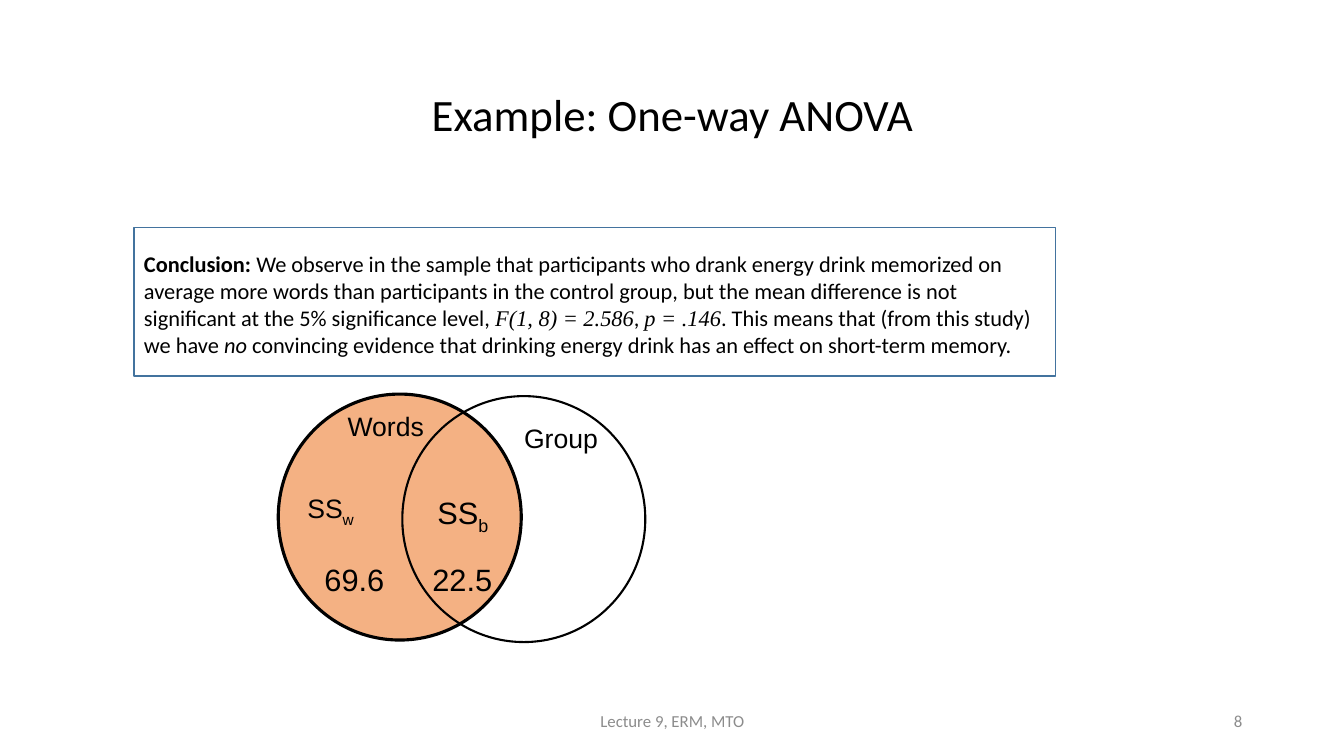
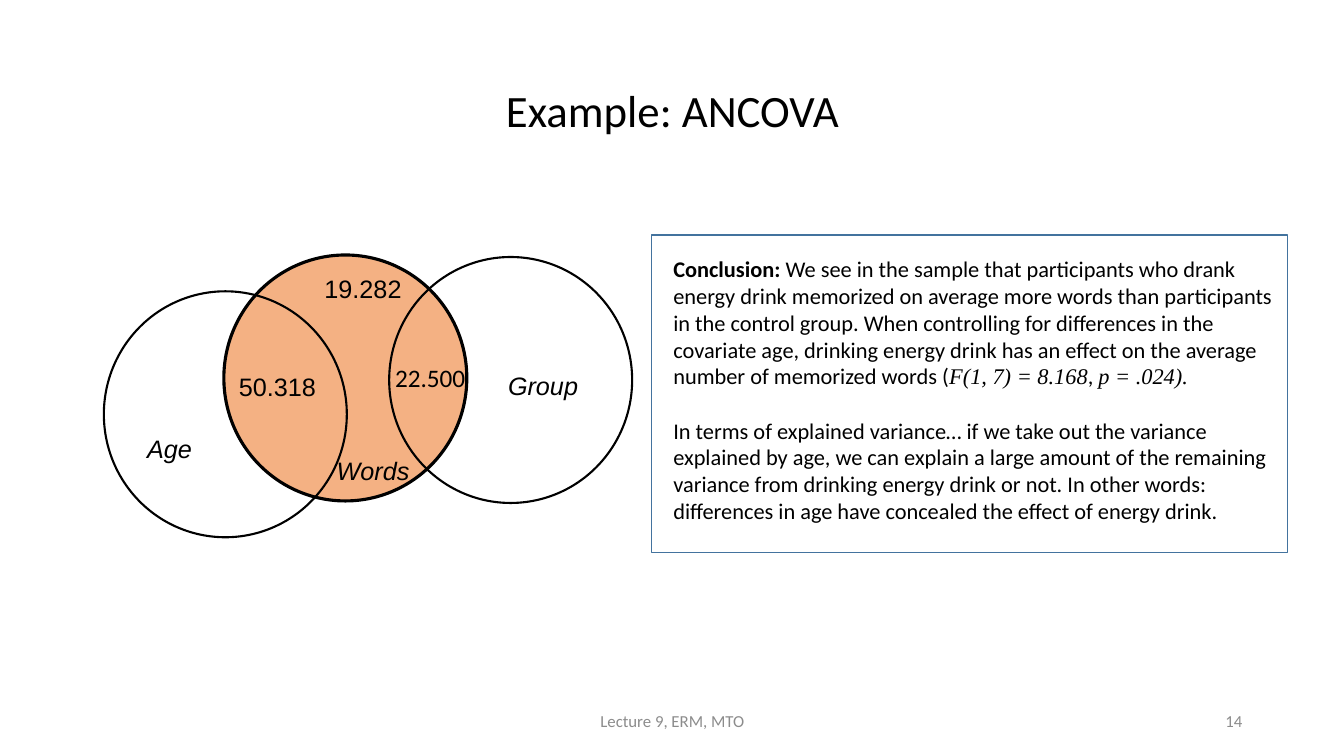
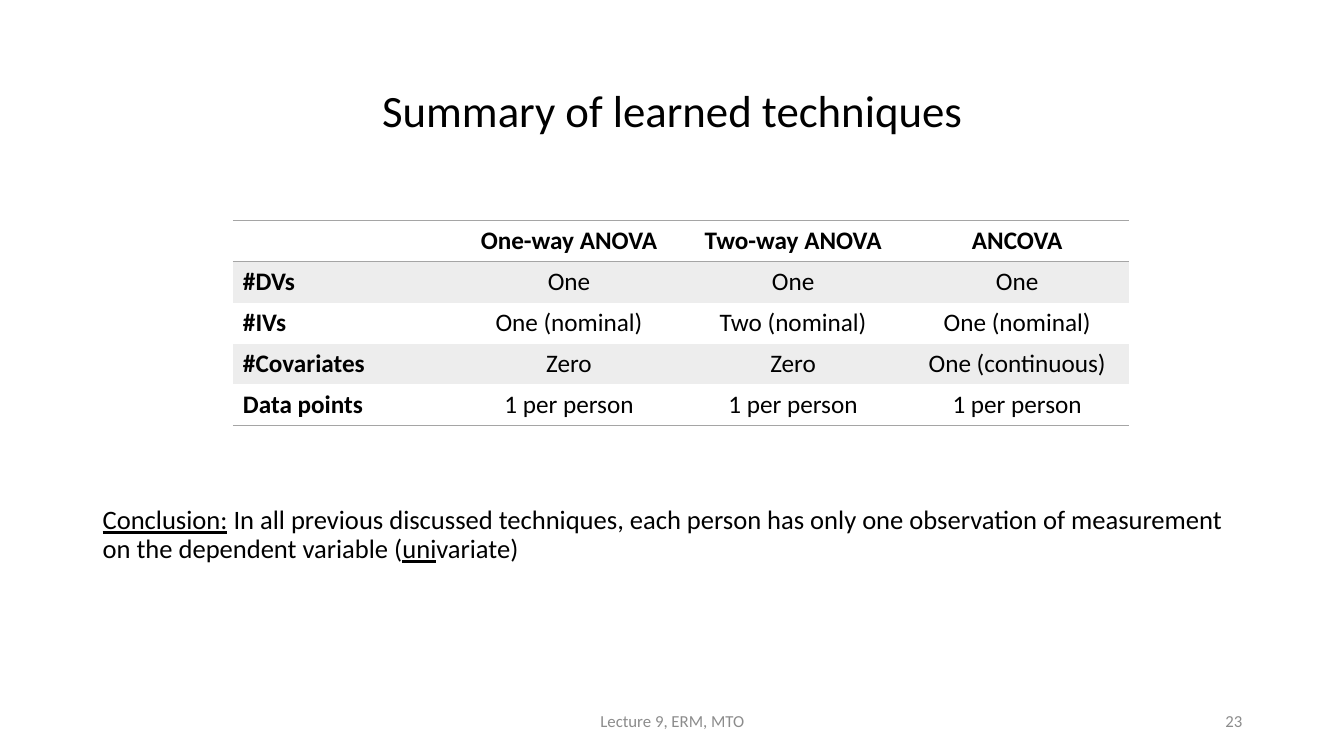
"""Build three lecture slides on ANOVA and ANCOVA."""
from lxml import etree
from pptx import Presentation
from pptx.dml.color import RGBColor
from pptx.enum.shapes import MSO_SHAPE
from pptx.enum.text import MSO_ANCHOR, PP_ALIGN
from pptx.oxml.ns import qn
from pptx.util import Inches, Pt

OVAL, RECT = MSO_SHAPE.OVAL, MSO_SHAPE.RECTANGLE
LEFT, CENTER, RIGHT = PP_ALIGN.LEFT, PP_ALIGN.CENTER, PP_ALIGN.RIGHT
TOP, MIDDLE = MSO_ANCHOR.TOP, MSO_ANCHOR.MIDDLE

BLACK = RGBColor(0x00, 0x00, 0x00)
GREY = RGBColor(0x8C, 0x8C, 0x8C)
ORANGE = RGBColor(0xF4, 0xB1, 0x83)
BLUE = RGBColor(0x43, 0x73, 0x9E)
BAND = RGBColor(0xED, 0xED, 0xED)
RULE = RGBColor(0xA5, 0xA5, 0xA5)

BODY, LABEL, FORMULA = "Calibri", "Arial", "Times New Roman"
NO_STYLE = "{2D5ABB26-0587-4C30-8999-92F81FD0307C}"
CIRCLE_W, CIRCLE_H = 2.41, 2.44


def style_run(r, size, font, color, marks=""):
    """Format a run; marks are b, i, u, f (formula) and s (subscript)."""
    r.font.size = Pt(size)
    r.font.name = FORMULA if "f" in marks else font
    r.font.color.rgb = color
    r.font.bold = "b" in marks
    r.font.italic = "i" in marks or "f" in marks
    r.font.underline = "u" in marks
    if "s" in marks:
        r._r.get_or_add_rPr().set("baseline", "-25000")


def add_text(s, box, paras, size, font=BODY, color=BLACK, align=LEFT,
             anchor=TOP, spacing=1.0, gap=0):
    """Add a text box of paragraphs, each a list of (text, marks) runs."""
    tf = s.shapes.add_textbox(*map(Inches, box)).text_frame
    tf.word_wrap = True
    tf.vertical_anchor = anchor
    for i, runs in enumerate(paras):
        p = tf.add_paragraph() if i else tf.paragraphs[0]
        p.alignment = align
        p.line_spacing = spacing
        p.space_before = Pt(gap if i else 0)
        for text, marks in runs:
            r = p.add_run()
            r.text = text
            style_run(r, size, font, color, marks)


def add_outline(s, kind, box, color, width, fill=None):
    """Add an outlined preset shape, filled if a colour is given."""
    sp = s.shapes.add_shape(kind, *map(Inches, box))
    sp.shadow.inherit = False
    sp.line.color.rgb = color
    sp.line.width = Pt(width)
    if fill is None:
        sp.fill.background()
    else:
        sp.fill.solid()
        sp.fill.fore_color.rgb = fill


def add_venn(s, outcome, factors):
    """Draw the filled outcome circle, then the factor circles over it."""
    add_outline(s, OVAL, (*outcome, CIRCLE_W, CIRCLE_H), BLACK, 2.25, ORANGE)
    for x, y in factors:
        add_outline(s, OVAL, (x, y, CIRCLE_W, CIRCLE_H), BLACK, 1.5)


def add_conclusion(s, frame, box, paras):
    """Add a framed conclusion."""
    add_outline(s, RECT, frame, BLUE, 1)
    add_text(s, box, paras, 16, anchor=MIDDLE, gap=19.5)


def add_border(cell, side):
    """Draw a thin rule on one side of a table cell."""
    ln = etree.SubElement(cell._tc.get_or_add_tcPr(), qn(f"a:ln{side}"),
                          w=str(Pt(1)))
    fill = etree.SubElement(ln, qn("a:solidFill"))
    etree.SubElement(fill, qn("a:srgbClr"), val=str(RULE))


def add_grid(s, box, rows):
    """Add a table with grey bands and rules around head and foot."""
    tbl = s.shapes.add_table(len(rows), len(rows[0]),
                             *map(Inches, box)).table
    tbl._tbl.tblPr.find(qn("a:tableStyleId")).text = NO_STYLE
    for i, row in enumerate(rows):
        for j, text in enumerate(row):
            cell = tbl.cell(i, j)
            if i == 0:
                add_border(cell, "T")
            if i in (0, len(rows) - 1):
                add_border(cell, "B")
            if i % 2:
                cell.fill.solid()
                cell.fill.fore_color.rgb = BAND
            else:
                cell.fill.background()
            cell.text_frame.text = text
            p = cell.text_frame.paragraphs[0]
            p.alignment = CENTER if j else LEFT
            for r in p.runs:
                style_run(r, 18, BODY, BLACK, "" if i and j else "b")


def new_slide(prs, title, number, spacing=0.9):
    """Add a blank slide with title, footer and slide number."""
    s = prs.slides.add_slide(prs.slide_layouts[6])
    add_text(s, (0.92, 0.4, 11.5, 1.45), [[(title, "")]], 32,
             align=CENTER, anchor=MIDDLE, spacing=spacing)
    add_text(s, (4.42, 6.95, 4.5, 0.4), [[("Lecture 9, ERM, MTO", "")]], 12,
             color=GREY, align=CENTER, anchor=MIDDLE)
    add_text(s, (9.42, 6.95, 3, 0.4), [[(str(number), "")]], 12,
             color=GREY, align=RIGHT, anchor=MIDDLE)
    return s


def build_anova(prs):
    """Build the one-way ANOVA slide."""
    s = new_slide(prs, "Example: One-way ANOVA", 8, 1.0)
    add_conclusion(s, (1.33, 2.26, 9.14, 1.47), (1.33, 2.29, 9.14, 1.45), [[
        ("Conclusion: ", "b"),
        ("We observe in the sample that participants who drank energy drink "
         "memorized on average more words than participants in the control "
         "group, but the mean difference is not significant at the 5% "
         "significance level, ", ""),
        ("F(1, 8) = 2.586", "f"), (", ", ""), ("p = .146", "f"),
        (". This means that (from this study) we have ", ""), ("no ", "i"),
        ("convincing evidence that drinking energy drink has an effect on "
         "short-term memory.", "")]])
    add_venn(s, (2.76, 3.91), [(3.99, 3.93)])
    for box, size, runs in (
            ((4.19, 5.51, 1, 0.59), 22, [("22.5", "")]),
            ((3.12, 5.51, 1, 0.62), 22, [("69.6", "")]),
            ((2.95, 4.83, 1, 0.42), 19, [("SS", ""), ("w", "s")]),
            ((5.1, 4.14, 1, 0.42), 19, [("Group", "")]),
            ((4.24, 4.85, 1, 0.47), 22, [("SS", ""), ("b", "s")]),
            ((3.35, 4.02, 1.08, 0.42), 19, [("Words", "")])):
        add_text(s, box, [runs], size, LABEL)


def build_ancova(prs):
    """Build the ANCOVA slide."""
    s = new_slide(prs, "Example: ANCOVA", 14)
    add_venn(s, (2.22, 2.53), [(1.03, 2.89), (3.86, 2.55)])
    for box, text, marks in (
            ((1.36, 4.23, 0.71, 0.43), "Age", "i"),
            ((4.94, 3.6, 1.12, 0.43), "Group", "i"),
            ((3.24, 4.45, 0.95, 0.43), "Words", "i"),
            ((2.27, 3.61, 1, 0.62), "50.318", ""),
            ((3.12, 2.64, 1, 1.27), "19.282", "")):
        add_text(s, box, [[(text, marks)]], 18, LABEL, spacing=1.07)
    add_text(s, (3.82, 3.55, 1, 0.4), [[("22.500", "")]], 18)
    add_conclusion(s, (6.46, 2.33, 6.31, 3.15), (6.58, 2.47, 6.31, 2.79), [
        [("Conclusion: ", "b"),
         ("We see in the sample that participants who drank energy drink "
          "memorized on average more words than participants in the control "
          "group. When controlling for differences in the covariate age, "
          "drinking energy drink has an effect on the average number of "
          "memorized words (", ""),
         ("F(1, 7) = 8.168", "f"), (", ", ""), ("p = .024).", "f")],
        [("In terms of explained variance… if we take out the variance "
          "explained by age, we can explain a large amount of the remaining "
          "variance from drinking energy drink or not. In other words: "
          "differences in age have concealed the effect of energy drink.",
          "")]])


def build_summary(prs):
    """Build the slide that compares the techniques."""
    s = new_slide(prs, "Summary of learned techniques", 23)
    add_grid(s, (2.31, 2.19, 8.89, 2.03), [
        ("", "One-way ANOVA", "Two-way ANOVA", "ANCOVA"),
        ("#DVs", "One", "One", "One"),
        ("#IVs", "One (nominal)", "Two (nominal)", "One (nominal)"),
        ("#Covariates", "Zero", "Zero", "One (continuous)"),
        ("Data points", "1 per person", "1 per person", "1 per person")])
    add_text(s, (0.92, 4.98, 11.5, 0.7), [[
        ("Conclusion:", "u"),
        (" In all previous discussed techniques, each person has only one "
         "observation of measurement on the dependent variable (", ""),
        ("uni", "u"), ("variate)", "")]], 19, spacing=0.9)


def main():
    """Build and save the presentation."""
    prs = Presentation()
    prs.slide_width, prs.slide_height = Inches(13.33), Inches(7.5)
    build_anova(prs)
    build_ancova(prs)
    build_summary(prs)
    prs.save("out.pptx")


if __name__ == "__main__":
    main()
